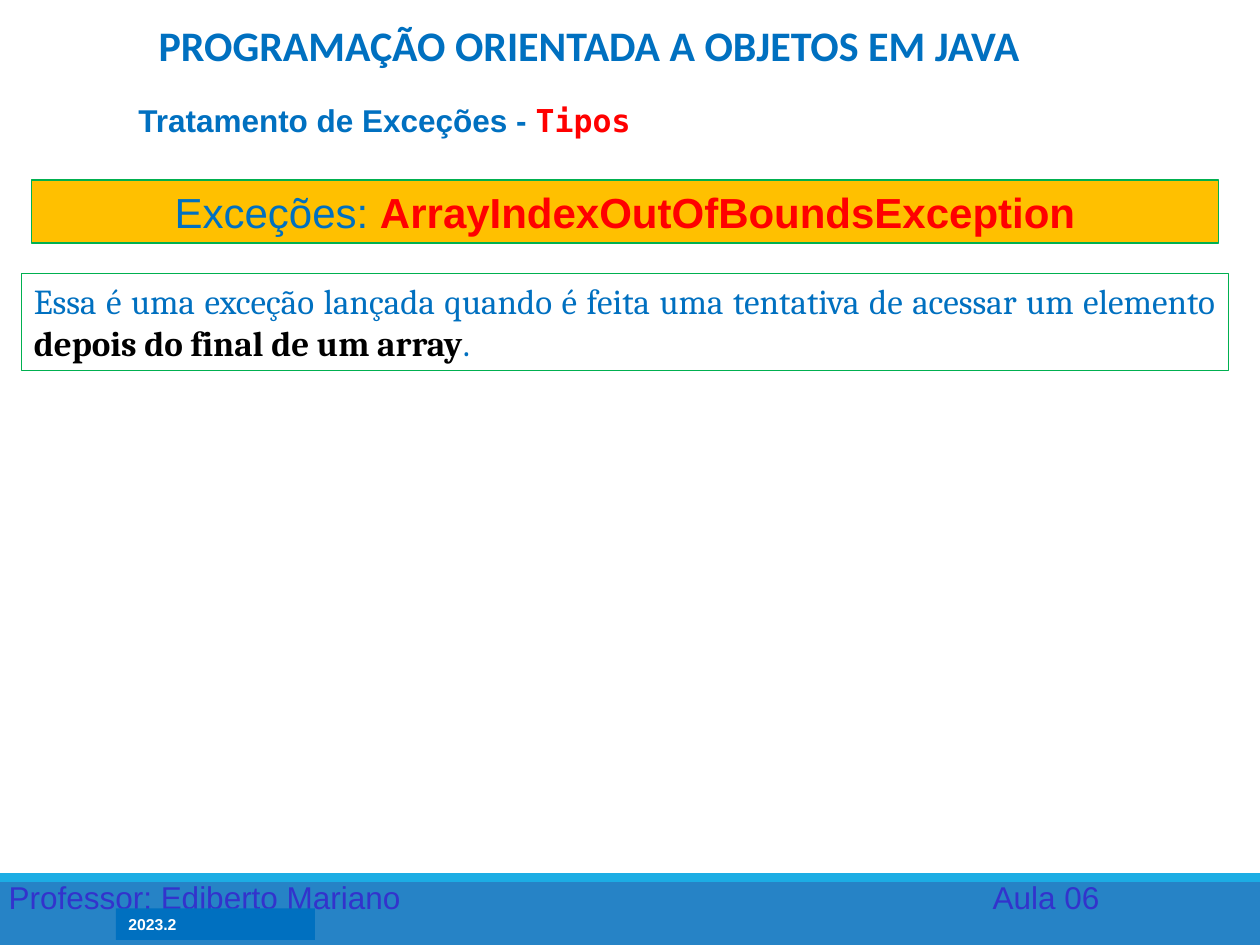
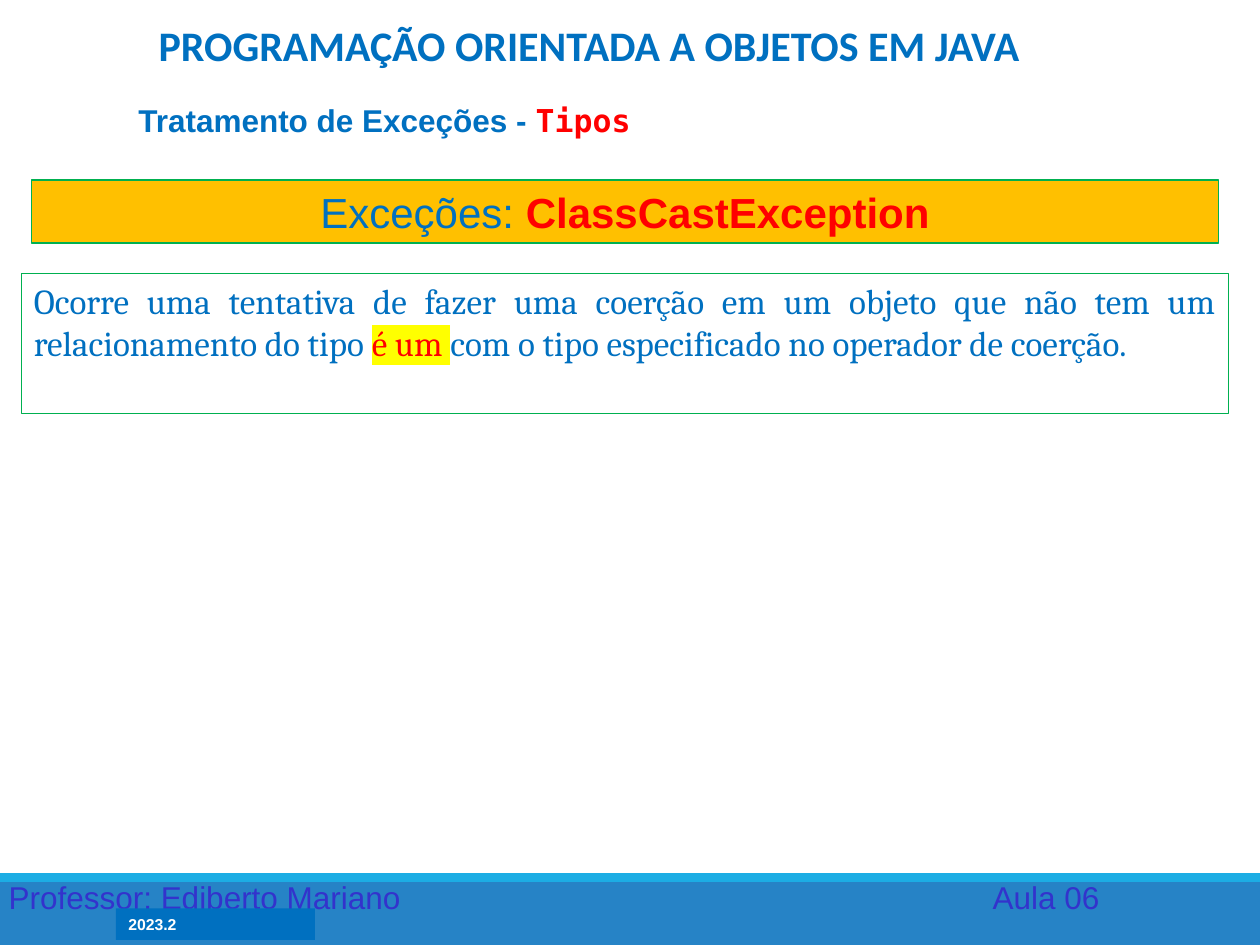
from lxml import etree
from pptx import Presentation
from pptx.dml.color import RGBColor
from pptx.enum.shapes import MSO_SHAPE
from pptx.enum.text import MSO_ANCHOR, PP_ALIGN
from pptx.oxml.ns import qn
from pptx.util import Inches, Pt

RECTANGLE = MSO_SHAPE.RECTANGLE
TOP, MIDDLE, BOTTOM = MSO_ANCHOR.TOP, MSO_ANCHOR.MIDDLE, MSO_ANCHOR.BOTTOM
LEFT, CENTER, JUSTIFY = PP_ALIGN.LEFT, PP_ALIGN.CENTER, PP_ALIGN.JUSTIFY

COLUMNS, ROWS = 100, 75
BLUE, SKY, OCEAN, INDIGO = "0070C0", "1CADE4", "2683C6", "3333CC"
RED, GREEN, GOLD, YELLOW = "FF0000", "00B050", "FFC000", "FFFF00"
BLACK, WHITE = "000000", "FFFFFF"
SANS, TITLE_FONT, SERIF, MONO = "Arial", "Calibri", "Cambria", "DejaVu Sans Mono"


def color(value):
    """Turn a hex string into a colour."""
    return RGBColor.from_string(value)


class Deck:
    """Holds the presentation, its shared style and the current slide."""

    def __init__(self):
        """Open an empty presentation and measure its grid."""
        self.presentation = Presentation()
        self.presentation.slide_width = Inches(10)
        self.presentation.slide_height = Inches(7.5)
        self.column = self.presentation.slide_width / COLUMNS
        self.row = self.presentation.slide_height / ROWS
        self.slide = None

    def place(self, left, top, width, height):
        """Convert grid units to slide lengths."""
        return (round(left * self.column), round(top * self.row),
                round(width * self.column), round(height * self.row))

    def box(self, area, fill, line=None):
        """Draw a filled rectangle."""
        shape = self.slide.shapes.add_shape(RECTANGLE, *self.place(*area))
        shape.shadow.inherit = False
        shape.fill.solid()
        shape.fill.fore_color.rgb = color(fill)
        if line:
            shape.line.color.rgb = color(line)
            shape.line.width = Pt(0.75)
        else:
            shape.line.fill.background()
        return shape

    def label(self, area, runs, size, font=SANS, align=LEFT, anchor=TOP):
        """Place a text box."""
        shape = self.slide.shapes.add_textbox(*self.place(*area))
        self.set_text(shape, runs, size, font, align, anchor)

    def set_text(self, shape, runs, size, font=SANS, align=LEFT, anchor=TOP):
        """Fill a shape with one paragraph of styled runs."""
        frame = shape.text_frame
        frame.word_wrap = True
        frame.vertical_anchor = anchor
        paragraph = frame.paragraphs[0]
        paragraph.alignment = align
        for text, style in runs:
            self.add_run(paragraph, text, size, **{"font": font, **style})

    def add_run(self, paragraph, text, size, font, ink=BLUE, bold=False, highlight=None):
        """Append one styled run."""
        run = paragraph.add_run()
        run.text = text
        run.font.size = Pt(size)
        run.font.bold = bold
        run.font.color.rgb = color(ink)
        if highlight:
            properties = run._r.get_or_add_rPr()
            marker = etree.SubElement(properties, qn("a:highlight"))
            etree.SubElement(marker, qn("a:srgbClr"), val=highlight)
        run.font.name = font

    def footer(self):
        """Draw the bands with teacher, lesson and term."""
        self.box((0, 69.3, 100, 5.7), OCEAN)
        self.box((0, 69.3, 100, 0.7), SKY)
        for left, width, text in ((-0.3, 50, "Professor: Ediberto Mariano"),
                                  (77.8, 15, "Aula 06")):
            self.label((left, 69.2, width, 4), [(text, {"ink": INDIGO})], 18)
        term = self.box((9.2, 72.1, 15.8, 2.5), BLUE)
        self.set_text(term, [("2023.2", {"ink": WHITE, "bold": True})], 9, anchor=MIDDLE)

    def heading(self):
        """Show the course title and the topic."""
        self.label((10.3, 0.8, 72.9, 5.2),
                   [("PROGRAMAÇÃO ORIENTADA A OBJETOS EM JAVA", {"bold": True})],
                   24, TITLE_FONT, CENTER, BOTTOM)
        self.label((10, 7.5, 48.3, 4.1),
                   [("Tratamento de Exceções - ", {"bold": True}),
                    ("Tipos", {"ink": RED, "bold": True, "font": MONO})], 18)

    def exception_slide(self, name, description, height):
        """Add a slide that presents one exception."""
        self.slide = self.presentation.slides.add_slide(self.presentation.slide_layouts[6])
        self.footer()
        self.heading()
        body = self.box((1.7, 21.7, 95.8, height), WHITE, GREEN)
        self.set_text(body, description, 20, SERIF, JUSTIFY)
        banner = self.box((2.5, 14.3, 94.2, 5), GOLD, GREEN)
        self.set_text(banner, [("Exceções: ", {}), (name, {"ink": RED, "bold": True})],
                      24, align=CENTER, anchor=MIDDLE)


def main():
    """Build and save the slides."""
    deck = Deck()
    deck.exception_slide("ArrayIndexOutOfBoundsException", [
        ("Essa é uma exceção lançada quando é feita uma tentativa de acessar um elemento ", {}),
        ("depois do final de um array", {"ink": BLACK, "bold": True}),
        (".", {}),
    ], 7.7)
    deck.exception_slide("ClassCastException", [
        ("Ocorre uma tentativa de fazer uma coerção em um objeto que não tem um "
         "relacionamento do tipo ", {}),
        ("é um ", {"ink": RED, "highlight": YELLOW}),
        ("com o tipo especificado no operador de coerção.", {}),
    ], 11.1)
    deck.presentation.save("out.pptx")


if __name__ == "__main__":
    main()
